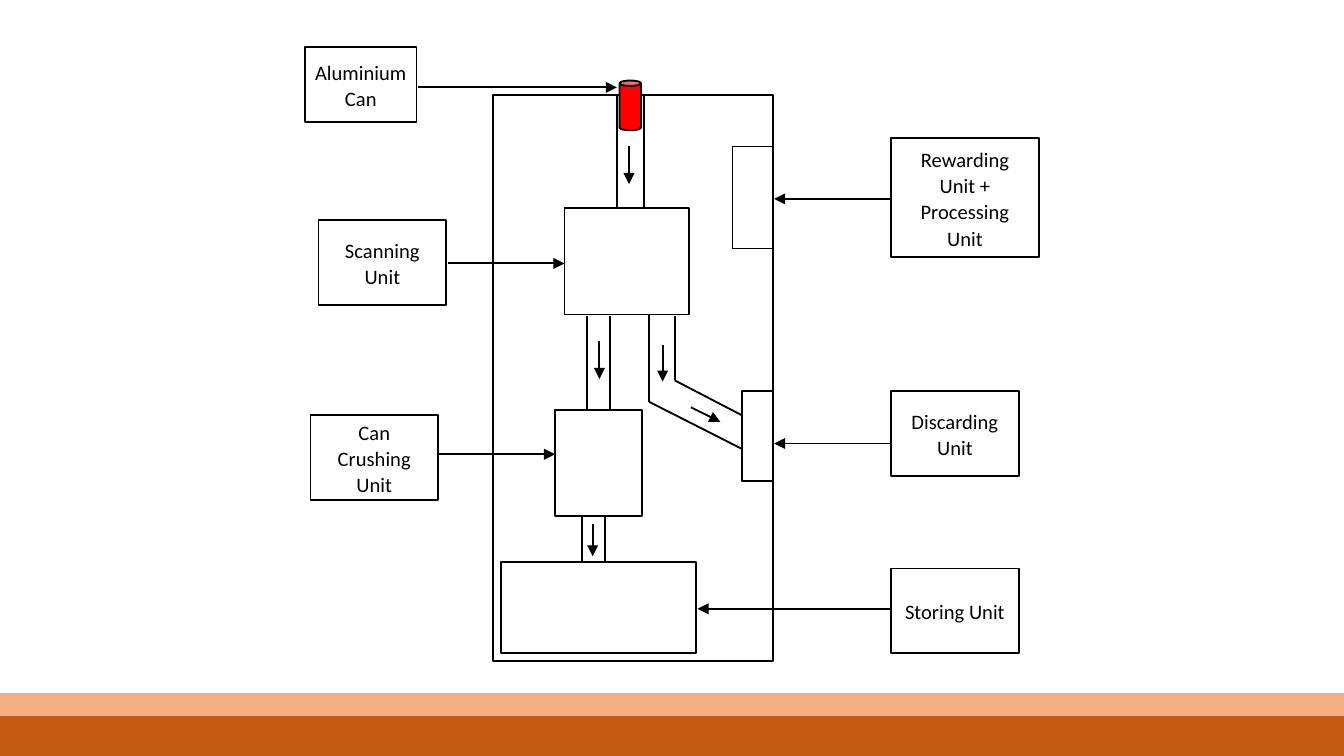
from pptx import Presentation
from pptx.dml.color import RGBColor
from pptx.enum.shapes import MSO_CONNECTOR, MSO_SHAPE
from pptx.enum.text import MSO_ANCHOR, PP_ALIGN
from pptx.oxml.ns import qn
from pptx.util import Inches, Pt
from lxml.etree import SubElement

BLACK = RGBColor(0x00, 0x00, 0x00)
WHITE = RGBColor(0xFF, 0xFF, 0xFF)
RED = RGBColor(0xFF, 0x00, 0x00)
PEACH = RGBColor(0xF4, 0xB0, 0x81)
ORANGE = RGBColor(0xC5, 0x5A, 0x11)

# Widescreen page, 16 to 9
deck = Presentation()
deck.slide_width = Inches(10)
deck.slide_height = Inches(10) * 9 // 16
page = deck.slides.add_slide(deck.slide_layouts[6])


def add_box(text="", *, at, shape=MSO_SHAPE.RECTANGLE, fill=WHITE, size=11,
            color=BLACK, margin=0.07):
    box = page.shapes.add_shape(shape, *[Inches(value) for value in at])
    box.shadow.inherit = False
    box.fill.solid()
    box.fill.fore_color.rgb = fill
    box.line.color.rgb = BLACK
    box.line.width = Pt(1)
    if not text:
        return
    frame = box.text_frame
    frame.word_wrap = True
    frame.vertical_anchor = MSO_ANCHOR.MIDDLE
    frame.margin_left = frame.margin_right = Inches(margin)
    frame.margin_top = frame.margin_bottom = Inches(0.04)
    frame.text = text
    for para in frame.paragraphs:
        para.alignment = PP_ALIGN.CENTER
        para.line_spacing = 1.07
        for span in para.runs:
            span.font.name = "Calibri"
            span.font.size = Pt(size)
            span.font.color.rgb = color


def add_line(x1, y1, x2, y2, *, color=BLACK, width=1, arrow=False):
    line = page.shapes.add_connector(
        MSO_CONNECTOR.STRAIGHT, Inches(x1), Inches(y1), Inches(x2), Inches(y2))
    line.line.color.rgb = color
    line.line.width = Pt(width)
    if arrow:
        SubElement(line.line._get_or_add_ln(), qn("a:tailEnd"), type="triangle")
    SubElement(line._element.spPr, qn("a:effectLst"))


# Machine casing and the units inside it
for place in [
    (3.67, 0.71, 2.08, 4.21),  # casing
    (4.2, 1.55, 0.93, 0.79),   # scanner
    (4.13, 3.05, 0.65, 0.79),  # crusher
    (3.73, 4.18, 1.45, 0.68),  # storage
    (5.52, 2.91, 0.23, 0.67),  # discard outlet
    (5.45, 1.09, 0.3, 0.76),   # reward outlet
]:
    add_box(at=place)

# Walls of the upright pipes: left, right, top, bottom
for left, right, top, bottom in [
    (4.59, 4.79, 0.71, 1.55),
    (4.37, 4.54, 2.35, 3.05),
    (4.33, 4.5, 3.85, 4.18),
]:
    for x in (left, right):
        add_line(x, top, x, bottom)

# Walls of the bent discard pipe: x, top, bend, end
for x, top, bend, end in [(4.83, 2.34, 2.99, 3.34), (5.02, 2.35, 2.83, 3.09)]:
    add_line(x, top, x, bend)
    add_line(x, bend, 5.52, end)

# Aluminium can
add_box(at=(4.61, 0.6, 0.16, 0.37), shape=MSO_SHAPE.CAN, fill=RED)

# Flow arrows
for ends in [
    (4.68, 1.09, 4.68, 1.37),
    (4.46, 2.54, 4.46, 2.82),
    (4.93, 2.57, 4.93, 2.84),
    (5.14, 3.03, 5.36, 3.14),
    (4.41, 3.9, 4.41, 4.14),
]:
    add_line(*ends, arrow=True)

# Labels, each with its pointer: text, place, side margin, pointer start, end and height
for text, place, margin, start, end, y in [
    ("Aluminium\nCan", (2.27, 0.35, 0.83, 0.56), 0.07, 3.11, 4.59, 0.65),
    ("Scanning Unit", (2.37, 1.64, 0.95, 0.63), 0.07, 3.33, 4.2, 1.96),
    ("Can Crushing Unit", (2.31, 3.09, 0.95, 0.63), 0.07, 3.27, 4.13, 3.38),
    ("Rewarding Unit +\nProcessing Unit", (6.63, 1.03, 1.1, 0.88), 0.09, 6.63, 5.76, 1.48),
    ("Discarding Unit", (6.63, 2.91, 0.95, 0.63), 0.07, 6.63, 5.76, 3.3),
    ("Storing Unit", (6.63, 4.23, 0.95, 0.63), 0.07, 6.63, 5.19, 4.53),
]:
    add_box(text, at=place, margin=margin)
    add_line(start, y, end, y, arrow=True)

# Footer bands
add_line(0, 5.28, 10, 5.28, color=PEACH, width=17.5)
add_line(0, 5.5, 10, 5.5, color=ORANGE, width=25)

deck.save("out.pptx")
